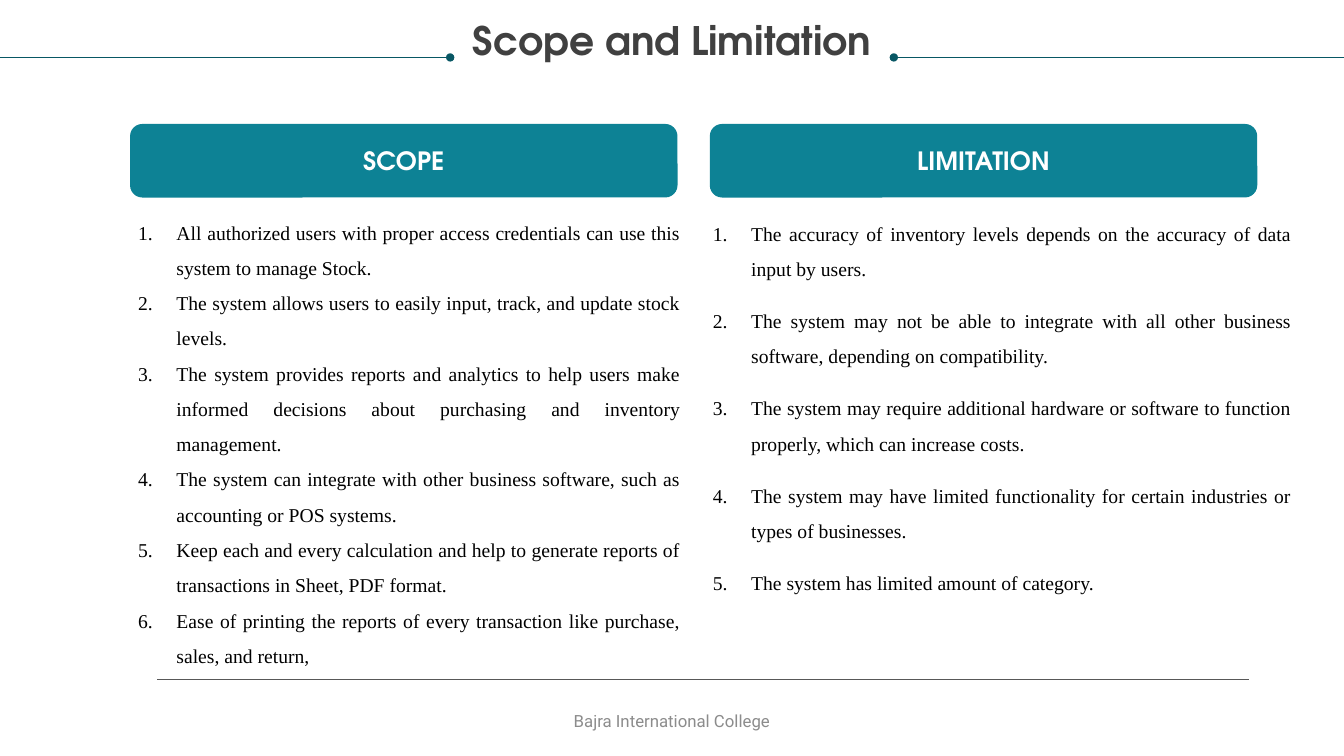
from dataclasses import dataclass

from lxml.etree import SubElement
from pptx import Presentation
from pptx.dml.color import RGBColor
from pptx.enum.shapes import MSO_CONNECTOR, MSO_SHAPE
from pptx.enum.text import MSO_ANCHOR, MSO_AUTO_SIZE, PP_ALIGN
from pptx.oxml.ns import qn
from pptx.util import Inches, Pt


@dataclass(frozen=True)
class Theme:
    banner: RGBColor = RGBColor(0x0D, 0x82, 0x95)
    title_rule: RGBColor = RGBColor(0x08, 0x57, 0x64)
    footer_rule: RGBColor = RGBColor(0x58, 0x58, 0x58)
    heading_font: str = "TeX Gyre Adventor"
    body_font: str = "Times New Roman"
    footer_font: str = "Roboto"
    title_color: RGBColor = RGBColor(0x40, 0x40, 0x40)
    banner_text: RGBColor = RGBColor(0xFF, 0xFF, 0xFF)
    body_color: RGBColor = RGBColor(0, 0, 0)
    footer_color: RGBColor = RGBColor(0x8C, 0x8C, 0x8C)
    title_size: int = 28
    banner_size: int = 18
    body_size: int = 14
    footer_size: int = 12
    rule_width: float = 0.5


THEME = Theme()
SLIDE_WIDTH, SLIDE_HEIGHT = 13.33, 7.5

SCOPE = [
    "All authorized users with proper access credentials can use this system to manage Stock.",
    "The system allows users to easily input, track, and update stock levels.",
    "The system provides reports and analytics to help users make informed decisions about "
    "purchasing and inventory management.",
    "The system can integrate with other business software, such as accounting or POS systems.",
    "Keep each and every calculation and help to generate reports of transactions in Sheet, PDF format.",
    "Ease of printing the reports of every transaction like purchase, sales, and return,",
]
LIMITATION = [
    "The accuracy of inventory levels depends on the accuracy of data input by users.",
    "The system may not be able to integrate with all other business software, "
    "depending on compatibility.",
    "The system may require additional hardware or software to function properly, "
    "which can increase costs.",
    "The system may have limited functionality for certain industries or types of businesses.",
    "The system has limited amount of category.",
]


def apply(target, formats):
    for attribute, value in formats.items():
        setattr(target, attribute, value)


def place(part, box):
    apply(part, dict(zip(("left", "top", "width", "height"), map(Inches, box))))


def set_frame(frame, anchor, inset_x=0, inset_y=0):
    apply(frame, {
        "word_wrap": True,
        "auto_size": MSO_AUTO_SIZE.NONE,
        "vertical_anchor": anchor,
        "margin_left": Inches(inset_x),
        "margin_right": Inches(inset_x),
        "margin_top": Inches(inset_y),
        "margin_bottom": Inches(inset_y),
    })


def write(paragraph, text, font, size, color, bold=False, **layout):
    apply(paragraph, layout)
    run = paragraph.add_run()
    run.text = text
    apply(run.font, {"name": font, "size": Pt(size), "bold": bold})
    run.font.color.rgb = color


def add_rule(slide, start, end, y, color, dot=None):
    rule = slide.shapes.add_connector(
        MSO_CONNECTOR.STRAIGHT, Inches(start), Inches(y), Inches(end), Inches(y))
    rule.line.color.rgb = color
    rule.line.width = Pt(THEME.rule_width)
    if dot:
        SubElement(rule.line._get_or_add_ln(), qn(dot), type="oval")
    SubElement(rule._element.spPr, qn("a:effectLst"))


def add_title(slide, box, text):
    left, top, width, height = box
    title = slide.shapes.title
    place(title, box)
    set_frame(title.text_frame, MSO_ANCHOR.TOP)
    write(title.text_frame.paragraphs[0], text, THEME.heading_font, THEME.title_size,
          THEME.title_color, True, alignment=PP_ALIGN.CENTER, line_spacing=0.9)
    rule_y, gap = top + 0.36, 2.2
    center = left + width / 2
    add_rule(slide, 0, center - gap, rule_y, THEME.title_rule, "a:tailEnd")
    add_rule(slide, center + gap, SLIDE_WIDTH, rule_y, THEME.title_rule, "a:headEnd")


def add_banner(slide, box, text):
    banner = slide.shapes.add_shape(MSO_SHAPE.ROUNDED_RECTANGLE, *map(Inches, box))
    banner.shadow.inherit = False
    banner.fill.solid()
    banner.fill.fore_color.rgb = THEME.banner
    banner.line.fill.background()
    set_frame(banner.text_frame, MSO_ANCHOR.MIDDLE, 0.1, 0.05)
    write(banner.text_frame.paragraphs[0], text, THEME.heading_font, THEME.banner_size,
          THEME.banner_text, True, alignment=PP_ALIGN.CENTER)


def add_numbered_list(body, box, items, gap):
    place(body, box)
    frame = body.text_frame
    set_frame(frame, MSO_ANCHOR.TOP)
    for index, item in enumerate(items):
        paragraph = frame.add_paragraph() if index else frame.paragraphs[0]
        apply(paragraph, {
            "alignment": PP_ALIGN.JUSTIFY,
            "line_spacing": 1.5,
            "space_before": Pt(gap if index else 0),
            "space_after": Pt(gap),
        })
        properties = paragraph._p.get_or_add_pPr()
        properties.set("marL", str(Inches(0.38)))
        properties.set("indent", str(-Inches(0.38)))
        SubElement(properties, qn("a:buFont"), typeface=THEME.body_font)
        SubElement(properties, qn("a:buAutoNum"), type="arabicPeriod")
        write(paragraph, item, THEME.body_font, THEME.body_size, THEME.body_color)


def add_column(slide, body, box, heading, items, list_offset, list_width, gap):
    left, top, width, height = box
    list_x, list_y = list_offset
    add_banner(slide, (left, top, width, 0.73), heading)
    add_numbered_list(body, (left + list_x, top + list_y, list_width, height - list_y), items, gap)


def add_footer(slide, box, text):
    left, top, width, height = box
    add_rule(slide, left, left + width, top, THEME.footer_rule)
    label_width, label_height = 4.5, 0.4
    label = slide.shapes.add_textbox(
        Inches((SLIDE_WIDTH - label_width) / 2), Inches(top + height - label_height),
        Inches(label_width), Inches(label_height))
    set_frame(label.text_frame, MSO_ANCHOR.MIDDLE, 0.1, 0.05)
    write(label.text_frame.paragraphs[0], text, THEME.footer_font, THEME.footer_size,
          THEME.footer_color, alignment=PP_ALIGN.CENTER)


def main():
    deck = Presentation()
    apply(deck, {"slide_width": Inches(SLIDE_WIDTH), "slide_height": Inches(SLIDE_HEIGHT)})
    slide = deck.slides.add_slide(deck.slide_layouts[3])
    scope_body, limitation_body = slide.placeholders[1], slide.placeholders[2]
    add_title(slide, (0.25, 0.21, 12.83, 0.42), "Scope and Limitation")
    add_column(slide, scope_body, (1.29, 1.23, 5.43, 5.39), "SCOPE", SCOPE,
               (0.08, 0.84), 5.38, 0)
    add_column(slide, limitation_body, (7.04, 1.23, 5.43, 5.32), "LIMITATION", LIMITATION,
               (0.03, 0.85), 5.74, 6)
    add_footer(slide, (1.56, 6.74, 10.83, 0.61), "Bajra International College")
    deck.save("out.pptx")


if __name__ == "__main__":
    main()
